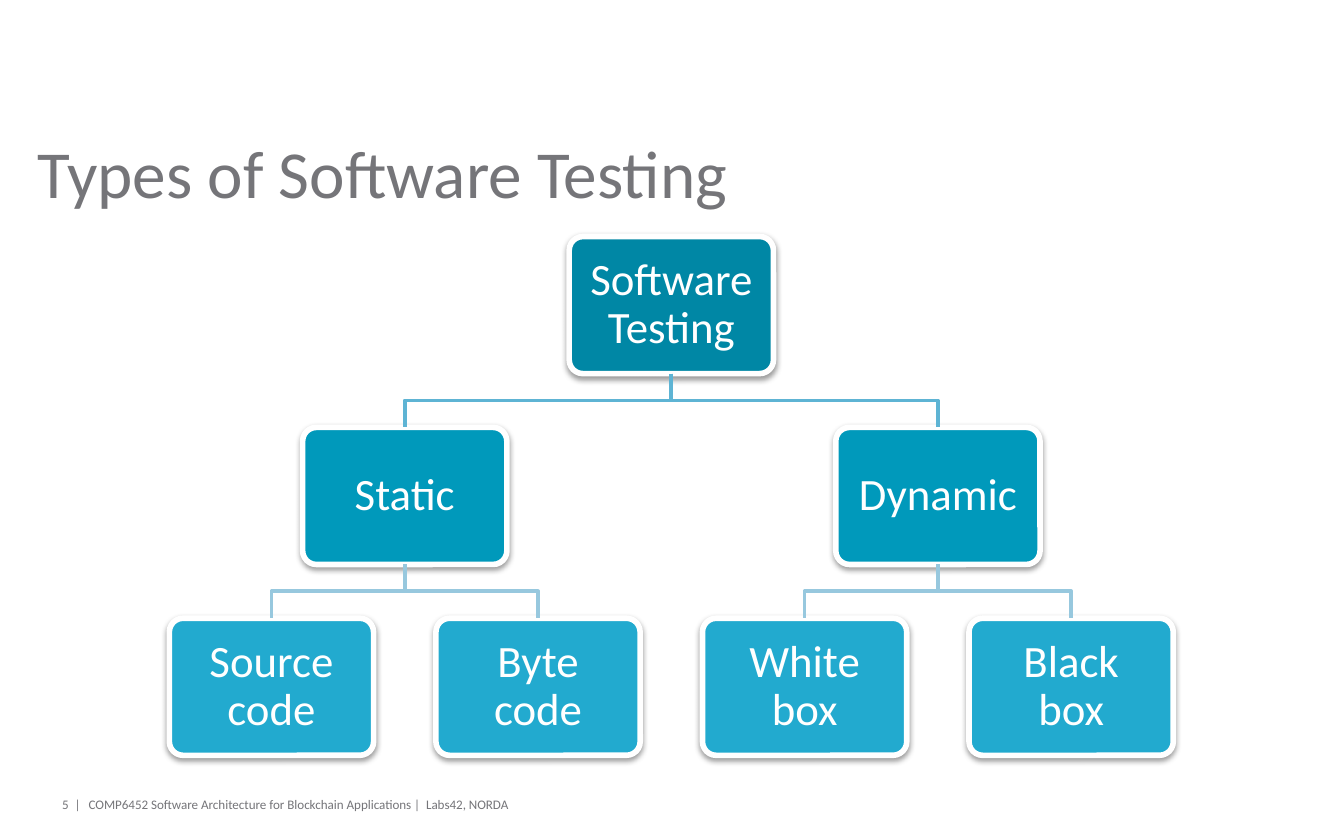
from dataclasses import dataclass

from lxml import etree
from pptx import Presentation
from pptx import util as u
from pptx.dml.color import RGBColor
from pptx.enum import shapes, text
from pptx.oxml import ns


@dataclass(frozen=True)
class Theme:
    font: str = "Calibri"
    grey: str = "757579"
    white: str = "FFFFFF"
    shadow: str = "000000"
    levels: tuple = ("0087A5", "0099BB", "22AACF")
    links: tuple = ("5EB4D4", "97C8DE")
    title_size: int = 36
    node_size: int = 24
    footer_size: int = 7


@dataclass(frozen=True)
class Box:
    x: float
    y: float
    w: float
    h: float

    def emu(self):
        return [u.Inches(v) for v in (self.x, self.y, self.w, self.h)]


THEME = Theme()
WIDTH, HEIGHT = 10, 6.25
TREE = ("Software Testing", [
    ("Static", [("Source code", []), ("Byte code", [])]),
    ("Dynamic", [("White box", []), ("Black box", [])]),
])
NODE_W, NODE_H = 1.52, 1.02


def write(sp, words, size, color, inset=0, spacing=1.0,
          align=text.PP_ALIGN.LEFT, anchor=text.MSO_ANCHOR.MIDDLE):
    tf = sp.text_frame
    margins = {f"margin_{side}": u.Inches(inset)
               for side in ("left", "right", "top", "bottom")}
    for name, value in {**margins, "word_wrap": True,
                        "vertical_anchor": anchor}.items():
        setattr(tf, name, value)
    p = tf.paragraphs[0]
    p.alignment, p.line_spacing = align, spacing
    r = p.add_run()
    r.text = words
    for name, value in {"name": THEME.font, "size": u.Pt(size)}.items():
        setattr(r.font, name, value)
    r.font.color.rgb = RGBColor.from_string(color)


def set_line(sp, color, width):
    sp.line.color.rgb = RGBColor.from_string(color)
    sp.line.width = u.Pt(width)


def add_shadow(sp):
    """Give the shape a soft shadow straight below it."""
    effects = etree.SubElement(sp._element.spPr, ns.qn("a:effectLst"))
    shadow = etree.SubElement(
        effects, ns.qn("a:outerShdw"), blurRad=str(u.Pt(3.1)),
        dist=str(u.Pt(1.6)), dir="5400000", rotWithShape="0")
    color = etree.SubElement(shadow, ns.qn("a:srgbClr"), val=THEME.shadow)
    etree.SubElement(color, ns.qn("a:alpha"), val="38000")


def title(slide, box, words):
    sp = slide.shapes.title
    sp.left, sp.top, sp.width, sp.height = box.emu()
    write(sp, words, THEME.title_size, THEME.grey,
          anchor=text.MSO_ANCHOR.TOP)


def footer(slide, box, number, words):
    number_w, gap = 0.32, 0.06
    text_x = box.x + number_w + gap
    parts = (
        (Box(box.x, box.y, number_w, box.h), f"{number}  |",
         text.PP_ALIGN.RIGHT),
        (Box(text_x, box.y, box.x + box.w - text_x, box.h), words,
         text.PP_ALIGN.LEFT),
    )
    for part, content, align in parts:
        sp = slide.shapes.add_textbox(*part.emu())
        write(sp, content, THEME.footer_size, THEME.grey,
              spacing=0.9, align=align)


def node(slide, box, words, color):
    sp = slide.shapes.add_shape(
        shapes.MSO_SHAPE.ROUNDED_RECTANGLE, *box.emu())
    sp.adjustments[0] = 0.1
    sp.fill.solid()
    sp.fill.fore_color.rgb = RGBColor.from_string(color)
    set_line(sp, THEME.white, 3)
    add_shadow(sp)
    write(sp, words, THEME.node_size, THEME.white, inset=0.12,
          spacing=0.9, align=text.PP_ALIGN.CENTER)


def link(slide, start, end, color):
    """Draw a down-across-down line from a parent to its child."""
    (x0, y0), (x1, y1) = start, end
    middle = (y0 + y1) / 2
    builder = slide.shapes.build_freeform(
        u.Inches(x0), u.Inches(y0))
    builder.add_line_segments(
        [(u.Inches(x), u.Inches(y))
         for x, y in ((x0, middle), (x1, middle), (x1, y1))], close=False)
    sp = builder.convert_to_shape()
    sp.fill.background()
    sp.shadow.inherit = False
    set_line(sp, color, 2)


def leaf_count(tree):
    return sum(map(leaf_count, tree[1])) or 1


def depth(tree):
    return 1 + max(map(depth, tree[1]), default=0)


def tree_chart(slide, box, tree):
    """Spread leaves evenly and centre each parent over its leaves."""
    col_step = (box.w - NODE_W) / (leaf_count(tree) - 1)
    row_step = (box.h - NODE_H) / (depth(tree) - 1)

    def branch(item, level, first_leaf):
        words, children = item
        centre = first_leaf + (leaf_count(item) - 1) / 2
        place = Box(box.x + col_step * centre, box.y + row_step * level,
                    NODE_W, NODE_H)
        top = (place.x + NODE_W / 2, place.y)
        bottom = (top[0], place.y + NODE_H)
        node(slide, place, words, THEME.levels[level])
        for child in children:
            child_top = branch(child, level + 1, first_leaf)
            link(slide, bottom, child_top, THEME.links[level])
            first_leaf += leaf_count(child)
        return top

    branch(tree, 0, 0)


def main():
    prs = Presentation()
    prs.slide_width, prs.slide_height = u.Inches(WIDTH), u.Inches(HEIGHT)
    slide = prs.slides.add_slide(prs.slide_layouts.get_by_name("Title Only"))
    title(slide, Box(0.28, 0.98, 9.45, 0.78), "Types of Software Testing")
    tree_chart(slide, Box(1.26, 1.76, 7.47, 3.86), TREE)
    footer(slide, Box(0.28, 5.93, 7.03, 0.12), 5,
           "COMP6452 Software Architecture for Blockchain Applications "
           "|  Labs42, NORDA")
    prs.save("out.pptx")


if __name__ == "__main__":
    main()
